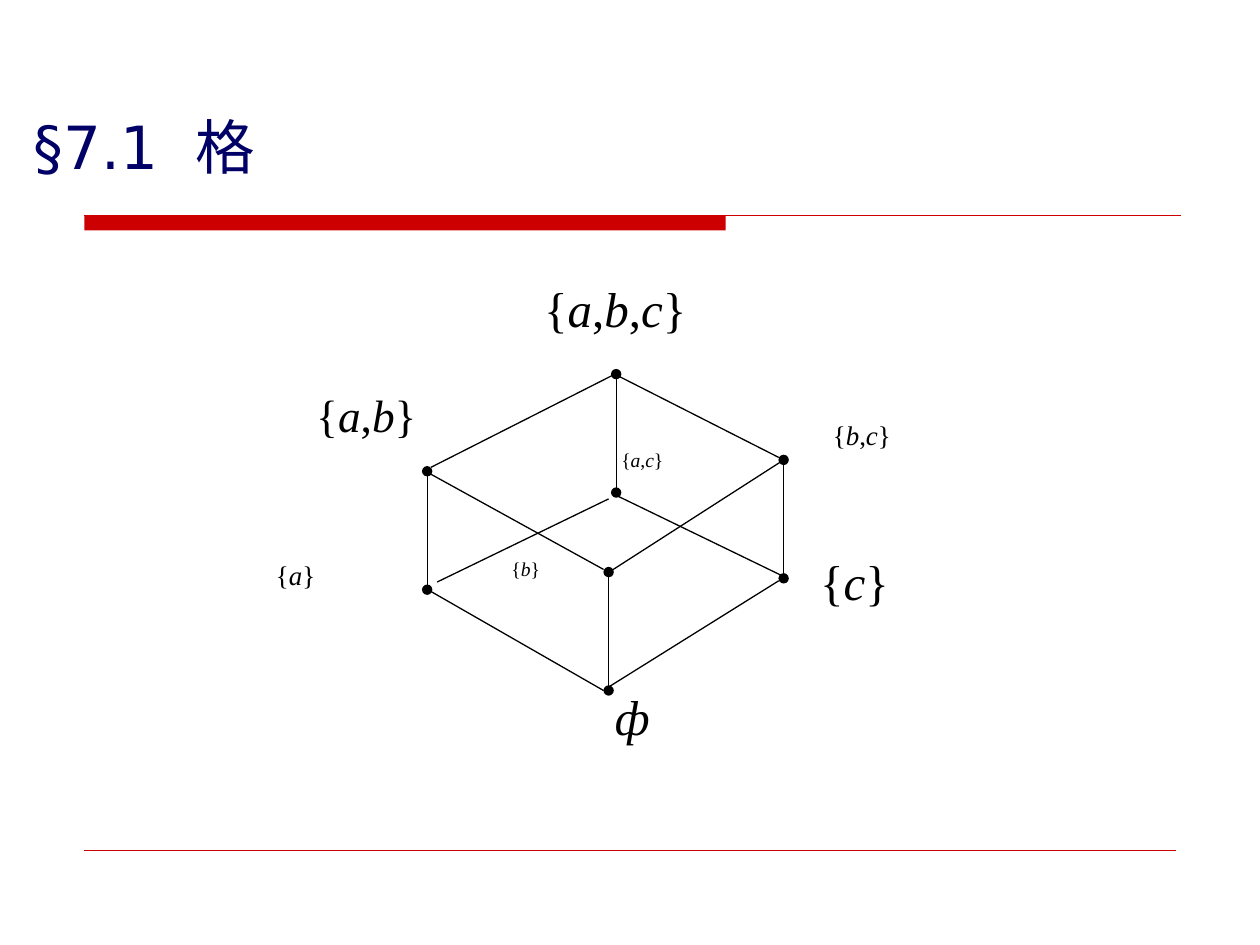
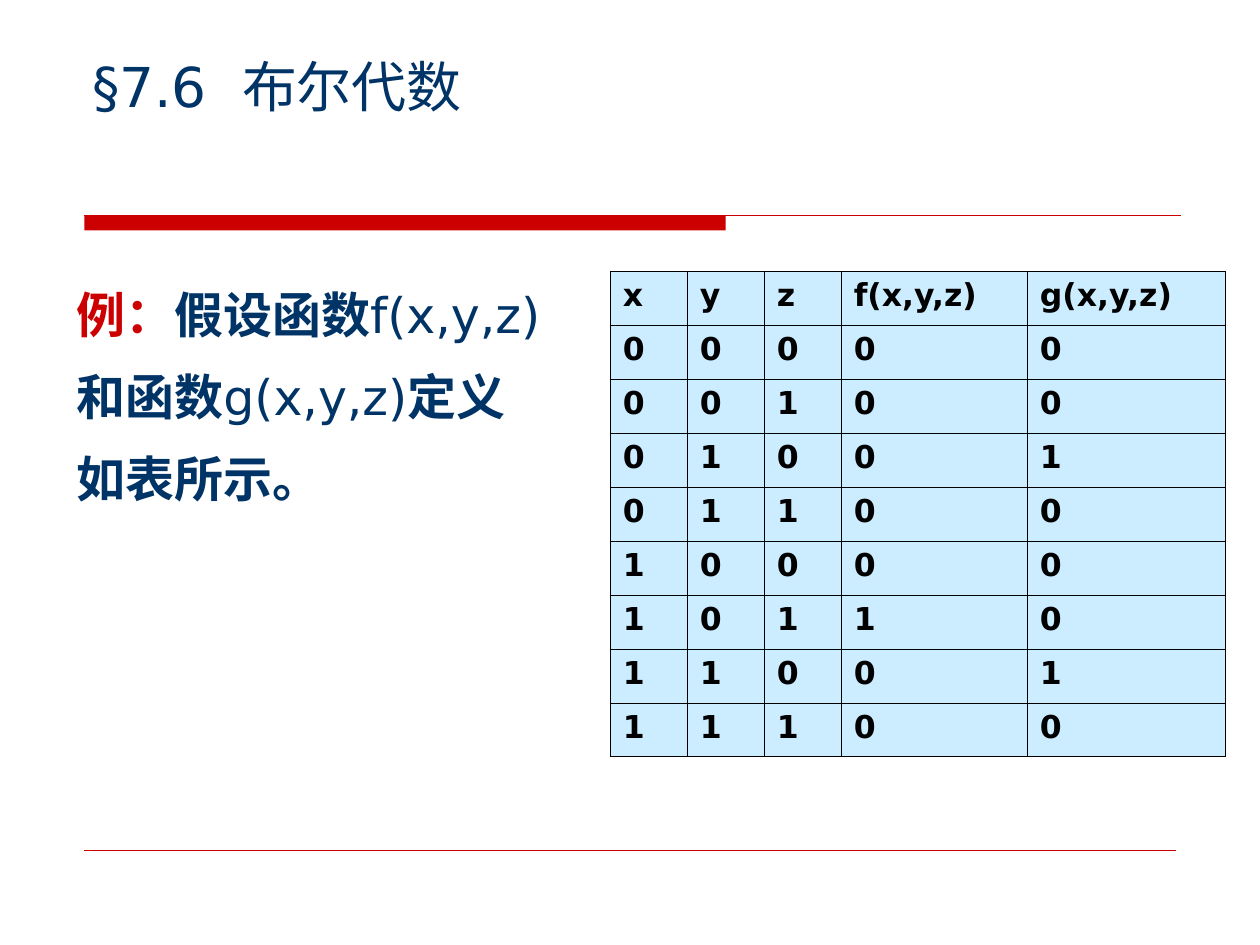
"""Builds two slides on lattices and Boolean algebra."""
from itertools import product

from lxml import etree
from pptx import Presentation
from pptx import util as u
from pptx.dml.color import RGBColor
from pptx.enum import shapes, text
from pptx.oxml.ns import qn

COLOURS = {
    "red": "CC0000", "violet": "000066", "navy": "003366",
    "black": "000000", "pale": "CCECFF",
}
SANS, SERIF = "DejaVu Sans", "Times New Roman"
SPACE_WIDTH = 0.318
RISE = 67.68

LATTICE_LABELS = [
    ("{a,b,c}", 28, 1, (311, 155.5, 114, 41)),
    ("{a,b}", 25.9, 0.9, (180.7, 221, 84, 39)),
    ("{b,c}", 15.4, 0.8, (476, 239, 81, 27)),
    ("{a,c}", 11.2, 0.8, (355, 254.9, 73, 23)),
    ("{a}", 15.4, 0.8, (157.7, 319, 45, 26)),
    ("{b}", 11.2, 0.8, (292.3, 317.5, 56, 22)),
    ("{c}", 28, 1, (468.7, 311.8, 66, 51)),
    ("ф", 28, 1, (351.4, 388.8, 53, 45)),
]
SLANTED_EDGES = [
    (347, 327.6, 445.7, 264.2), (352, 283, 450, 330.5),
    (354.2, 215.3, 445, 261.4), (246.2, 267.1, 351.4, 213.8),
    (241.9, 268.6, 344.9, 325.4), (249.8, 332.6, 347.8, 285.1),
    (347, 393.1, 445, 331.9), (241.9, 335.5, 344.9, 394.6),
]
UPPER_NODES = [(352.1, 213.8), (244.1, 269.3), (447.8, 262.8), (347.8, 326.9)]
F_TRUE, G_TRUE = {(1, 0, 1)}, {(0, 1, 0), (1, 1, 0)}


def colour(name):
    return RGBColor.from_string(COLOURS[name])


def points(values):
    return [u.Pt(value) for value in values]


def style(span, size, shade, font=SANS, bold=False, italic=False):
    span.font.name, span.font.size = font, u.Pt(size)
    span.font.bold, span.font.italic = bold, italic
    span.font.color.rgb = colour(shade)


def add_line(page, ends, shade, width, dots=False):
    line = page.shapes.add_connector(shapes.MSO_CONNECTOR.STRAIGHT, *points(ends))
    line.line.color.rgb = colour(shade)
    line.line.width = u.Pt(width)
    if dots:
        outline = line.element.spPr.find(qn("a:ln"))
        for end in ("a:headEnd", "a:tailEnd"):
            etree.SubElement(outline, qn(end), type="oval")
    etree.SubElement(line.element.spPr, qn("a:effectLst"))
    return line


def add_bands(page):
    """Draw the title band and footer rule, then hand them to the layout."""
    bar = page.shapes.add_shape(
        shapes.MSO_SHAPE.RECTANGLE, *points((48.2, 123.1, 366.5, 8.6)))
    bar.shadow.inherit = False
    bar.fill.solid()
    bar.fill.fore_color.rgb = colour("red")
    bar.line.fill.background()
    rule = add_line(page, (48.2, 123.1, 674.6, 123.1), "red", 0.75)
    footer = add_line(page, (48.2, 486, 671.8, 486), "red", 0.25)
    for number, item in enumerate((bar, rule, footer), 101):
        item.element.xpath(".//p:cNvPr")[0].set("id", str(number))
        page.slide_layout.shapes.element.append(item.element)


def add_title(page, number, name, size, shade, place):
    title = page.shapes.title
    title.left, title.top, title.width, title.height = points(place)
    frame = title.text_frame
    frame.auto_size = text.MSO_AUTO_SIZE.NONE
    frame.vertical_anchor = text.MSO_ANCHOR.BOTTOM
    para = frame.paragraphs[0]
    para.alignment = text.PP_ALIGN.LEFT
    for part in (number, " ", name):
        span = para.add_run()
        span.text = part
        style(span, size, shade)
    gap = title.element.xpath(".//a:r/a:rPr")[1]
    gap.set("spc", str(round(SPACE_WIDTH * size * 100)))


def add_label(page, label, size, spacing, place):
    box = page.shapes.add_textbox(*points(place))
    frame = box.text_frame
    frame.word_wrap = True
    frame.margin_left = frame.margin_right = 0
    para = frame.paragraphs[0]
    para.line_spacing = spacing
    for letter in label:
        span = para.add_run()
        span.text = letter
        style(span, size, "black", SERIF, italic=letter.isalpha())


def add_statement(page, lines, place):
    box = page.shapes.add_textbox(*points(place))
    frame = box.text_frame
    frame.word_wrap = True
    frame.auto_size = text.MSO_AUTO_SIZE.SHAPE_TO_FIT_TEXT
    frame.vertical_anchor = text.MSO_ANCHOR.MIDDLE
    for index, line in enumerate(lines):
        para = frame.add_paragraph() if index else frame.paragraphs[0]
        para.line_spacing = 1.4
        for words, shade, bold in line:
            span = para.add_run()
            span.text = words
            style(span, 28, shade, bold=bold)


def add_borders(cell):
    properties = cell._tc.get_or_add_tcPr()
    for index, side in enumerate(("lnL", "lnR", "lnT", "lnB")):
        border = etree.Element(qn(f"a:{side}"), w=str(u.Pt(0.45)))
        fill = etree.SubElement(border, qn("a:solidFill"))
        etree.SubElement(fill, qn("a:srgbClr"), val=COLOURS["black"])
        properties.insert(index, border)


def add_truth_table(page, rows, place, widths):
    table = page.shapes.add_table(len(rows), len(widths), *points(place)).table
    table.first_row = table.horz_banding = False
    for column, width in zip(table.columns, widths):
        column.width = u.Pt(width)
    for row, values in zip(table.rows, rows):
        row.height = u.Pt(place[3] / len(rows))
        for cell, value in zip(row.cells, values):
            cell.text = str(value)
            style(cell.text_frame.paragraphs[0].runs[0], 18, "black", bold=True)
            cell.fill.solid()
            cell.fill.fore_color.rgb = colour("pale")
            add_borders(cell)


def build_lattice(page):
    for ends in SLANTED_EDGES:
        add_line(page, ends, "black", 0.75)
    for label in LATTICE_LABELS:
        add_label(page, *label)
    for x, y in UPPER_NODES:
        add_line(page, (x, y + RISE, x, y), "black", 0.75, dots=True)
    add_title(page, "§7.1", "格", 34, "violet", (12.2, 11.5, 630, 95.8))


def build_boolean(page):
    add_statement(page, [
        [("例：", "red", True), ("假设函数", "navy", True), ("f(x,y,z)", "navy", False)],
        [("和函数", "navy", True), ("g(x,y,z)", "navy", False), ("定义", "navy", True)],
        [("如表所示。", "navy", True)],
    ], (36.7, 145.4, 300.2, 148.3))
    rows = [("x", "y", "z", "f(x,y,z)", "g(x,y,z)")]
    rows += [(*bits, int(bits in F_TRUE), int(bits in G_TRUE))
             for bits in product((0, 1), repeat=3)]
    add_truth_table(page, rows, (348.7, 154.9, 351.4, 277.8),
                    (44, 44, 44, 106.4, 113))
    add_title(page, "§7.6", "布尔代数", 31.4, "navy", (45.4, 23.8, 630, 47.5))


def main():
    deck = Presentation()
    deck.slide_width, deck.slide_height = points((720, 540))
    layout = deck.slide_layouts[5]
    lattice, boolean = [deck.slides.add_slide(layout) for _ in range(2)]
    add_bands(lattice)
    build_lattice(lattice)
    build_boolean(boolean)
    deck.save("out.pptx")


if __name__ == "__main__":
    main()
